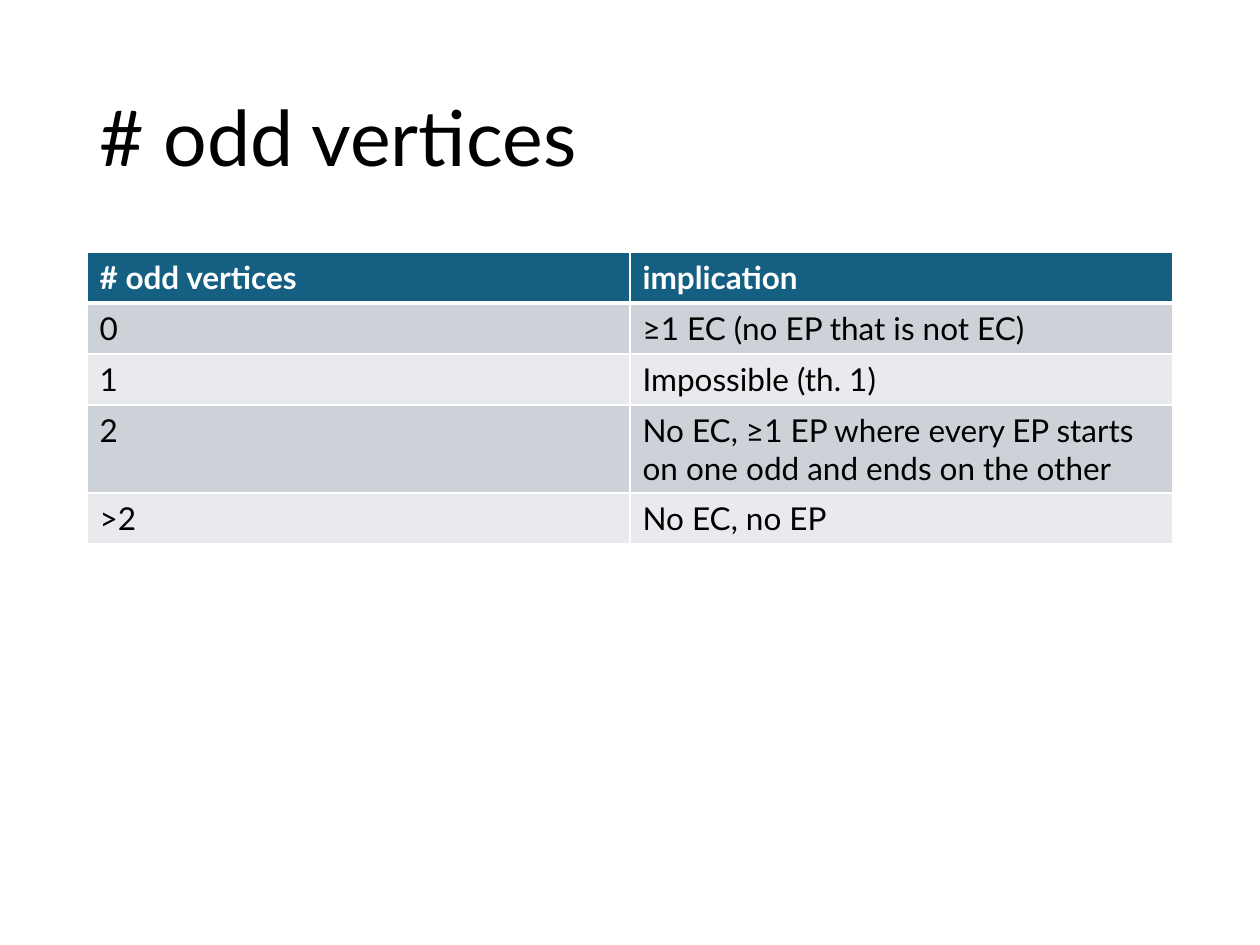
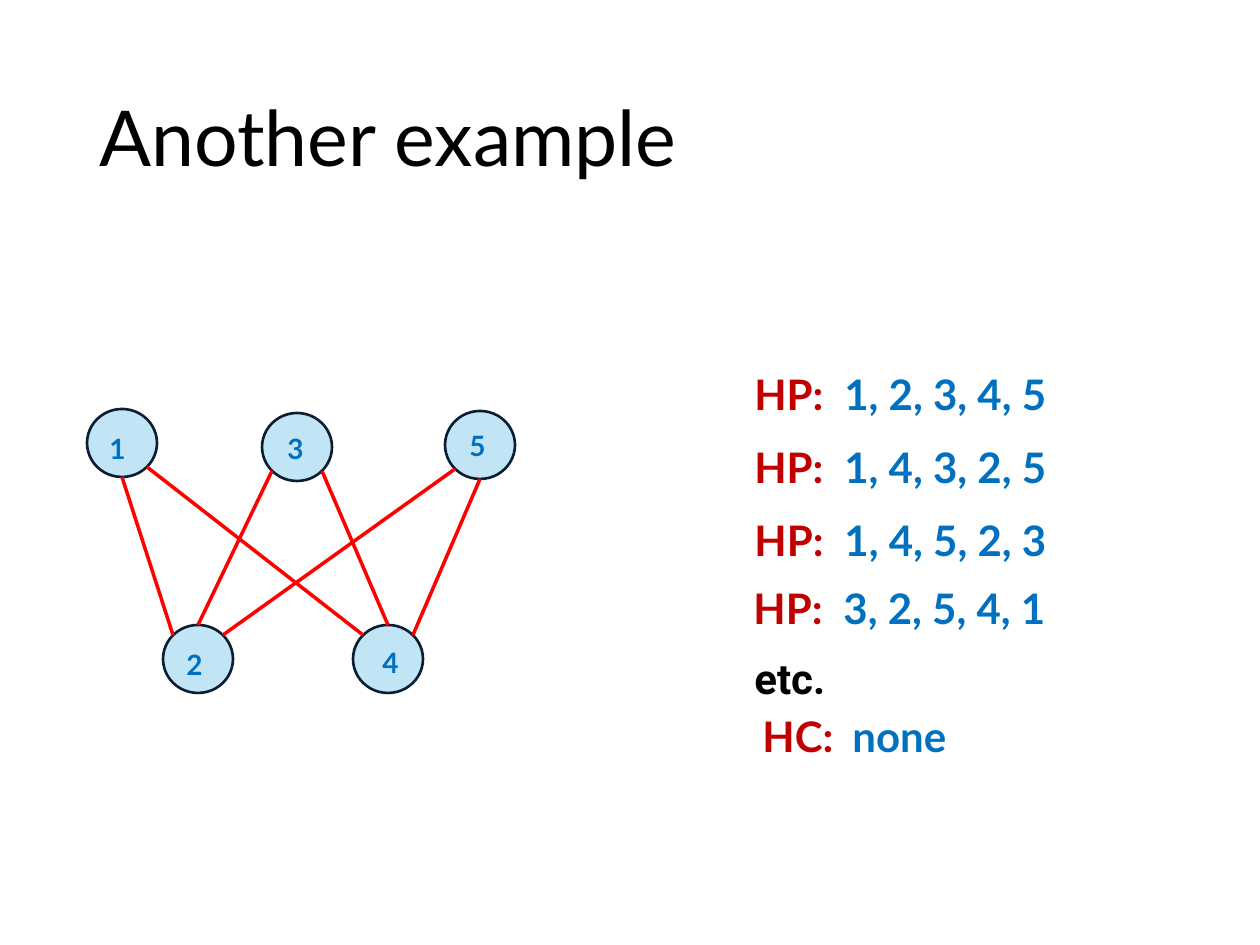
"""Build two slides on graph theory: odd vertices and Hamiltonian paths."""
from lxml import etree
from pptx import Presentation
from pptx.dml.color import RGBColor
from pptx.enum.shapes import MSO_CONNECTOR, MSO_SHAPE
from pptx.enum.text import MSO_ANCHOR
from pptx.oxml.ns import qn
from pptx.util import Pt

STRAIGHT = MSO_CONNECTOR.STRAIGHT
OVAL = MSO_SHAPE.OVAL
MIDDLE = MSO_ANCHOR.MIDDLE

BLACK = RGBColor(0x00, 0x00, 0x00)
WHITE = RGBColor(0xFF, 0xFF, 0xFF)
HEADER_TEAL = RGBColor(0x15, 0x60, 0x82)
BAND_DARK = RGBColor(0xCC, 0xD2, 0xD8)
BAND_LIGHT = RGBColor(0xE8, 0xEA, 0xED)
VERTEX_FILL = RGBColor(0xC1, 0xE5, 0xF5)
VERTEX_LINE = RGBColor(0x0B, 0x1E, 0x31)
EDGE_RED = RGBColor(0xFF, 0x00, 0x00)
LABEL_RED = RGBColor(0xC0, 0x00, 0x00)
TEXT_BLUE = RGBColor(0x00, 0x70, 0xC0)
FONT = "Lato"


def px(length):
    return round(length * 914400 / 126)


def add_text(slide, left, top, width, height, runs, size, bold=True, font=FONT, tab=None):
    box = slide.shapes.add_textbox(px(left), px(top), px(width), px(height))
    box.text_frame.word_wrap = True
    paragraph = box.text_frame.paragraphs[0]
    if tab:
        tabs = etree.SubElement(paragraph._p.get_or_add_pPr(), qn("a:tabLst"))
        etree.SubElement(tabs, qn("a:tab"), pos=str(px(tab)), algn="l")
    paragraph.font.size = Pt(size)
    paragraph.font.name = font
    paragraph.font.bold = bold
    for text, color in runs:
        run = paragraph.add_run()
        run.text = text
        run.font.color.rgb = color
    return box


presentation = Presentation()
presentation.slide_width = px(1260)
presentation.slide_height = px(945)

slides = []
for title in ("# odd vertices", "Another example"):
    slide = presentation.slides.add_slide(presentation.slide_layouts[6])
    box = add_text(slide, 87, 50, 1086, 183, [(title, BLACK)], 44, bold=False)
    box.text_frame.vertical_anchor = MIDDLE
    box.text_frame.paragraphs[0].line_spacing = 0.9
    slides.append(slide)
table_slide, graph_slide = slides

rows = [
    ("# odd vertices", "implication"),
    ("0", "≥1 EC (no EP that is not EC)"),
    ("1", "Impossible (th. 1)"),
    ("2", "No EC, ≥1 EP where every EP starts on one odd and ends on the other"),
    (">2", "No EC, no EP"),
]
row_heights = [51, 51, 51, 87, 51]
table = table_slide.shapes.add_table(
    len(rows), 2, px(87), px(252), px(1086), px(sum(row_heights))
).table
for row_index, (texts, height) in enumerate(zip(rows, row_heights)):
    table.rows[row_index].height = px(height)
    is_header = row_index == 0
    band = BAND_DARK if row_index % 2 else BAND_LIGHT
    border_widths = {
        "a:lnL": 1,
        "a:lnR": 1,
        "a:lnT": 3 if row_index == 1 else 1,
        "a:lnB": 3 if is_header else 1,
    }
    for column_index, text in enumerate(texts):
        cell = table.cell(row_index, column_index)
        cell.text = text
        font = cell.text_frame.paragraphs[0].font
        font.size = Pt(18)
        font.name = FONT
        font.bold = is_header
        font.color.rgb = WHITE if is_header else BLACK
        properties = cell._tc.get_or_add_tcPr()
        for tag, width in border_widths.items():
            border = etree.SubElement(properties, qn(tag), w=str(Pt(width)))
            fill = etree.SubElement(border, qn("a:solidFill"))
            etree.SubElement(fill, qn("a:srgbClr"), val=str(WHITE))
        cell.fill.solid()
        cell.fill.fore_color.rgb = HEADER_TEAL if is_header else band

VERTEX_WIDTH, VERTEX_HEIGHT = 70, 68
vertex_centers = {1: (122, 443), 2: (198, 659), 3: (297, 447), 4: (388, 659), 5: (480, 445)}
label_corners = {1: (97, 425), 2: (174, 641), 3: (275, 425), 4: (370, 639), 5: (457, 422)}
rim_points = {
    "top": (0, -34),
    "top left": (-25, -24),
    "top right": (25, -24),
    "bottom": (0, 34),
    "bottom left": (-25, 24),
    "bottom right": (25, 24),
}
edges = [
    (1, "bottom", 2, "top left"),
    (1, "bottom right", 4, "top left"),
    (3, "bottom left", 2, "top"),
    (3, "bottom right", 4, "top"),
    (5, "bottom left", 2, "top right"),
    (5, "bottom", 4, "top right"),
]

for vertex, (x, y) in vertex_centers.items():
    circle = graph_slide.shapes.add_shape(
        OVAL, px(x - VERTEX_WIDTH / 2), px(y - VERTEX_HEIGHT / 2), px(VERTEX_WIDTH), px(VERTEX_HEIGHT)
    )
    circle.shadow.inherit = False
    circle.fill.solid()
    circle.fill.fore_color.rgb = VERTEX_FILL
    circle.line.color.rgb = VERTEX_LINE
    circle.line.width = Pt(1.5)

for start, start_point, end, end_point in edges:
    ends = []
    for vertex, point in ((start, start_point), (end, end_point)):
        ends += [px(a + b) for a, b in zip(vertex_centers[vertex], rim_points[point])]
    edge = graph_slide.shapes.add_connector(STRAIGHT, *ends)
    edge.line.color.rgb = EDGE_RED
    edge.line.width = Pt(2)
    etree.SubElement(edge._element.spPr, qn("a:effectLst"))

for vertex, (left, top) in label_corners.items():
    add_text(graph_slide, left, top, 40, 47, [(str(vertex), TEXT_BLUE)], 16)

answers = [
    (742, 362, 368, "HP:", "1, 2, 3, 4, 5"),
    (742, 435, 377, "HP:", "1, 4, 3, 2, 5"),
    (742, 508, 399, "HP:", "1, 4, 5, 2, 3"),
    (741, 576, 425, "HP:", "3, 2, 5, 4, 1"),
    (750, 704, 362, "HC:", "none"),
]
for left, top, width, kind, answer in answers:
    runs = [(kind + "\t", LABEL_RED), (answer, TEXT_BLUE)]
    add_text(graph_slide, left, top, width, 63, runs, 24, tab=90)
add_text(graph_slide, 742, 646, 214, 63, [("etc.", BLACK)], 24, font="Roboto")

presentation.save("out.pptx")
